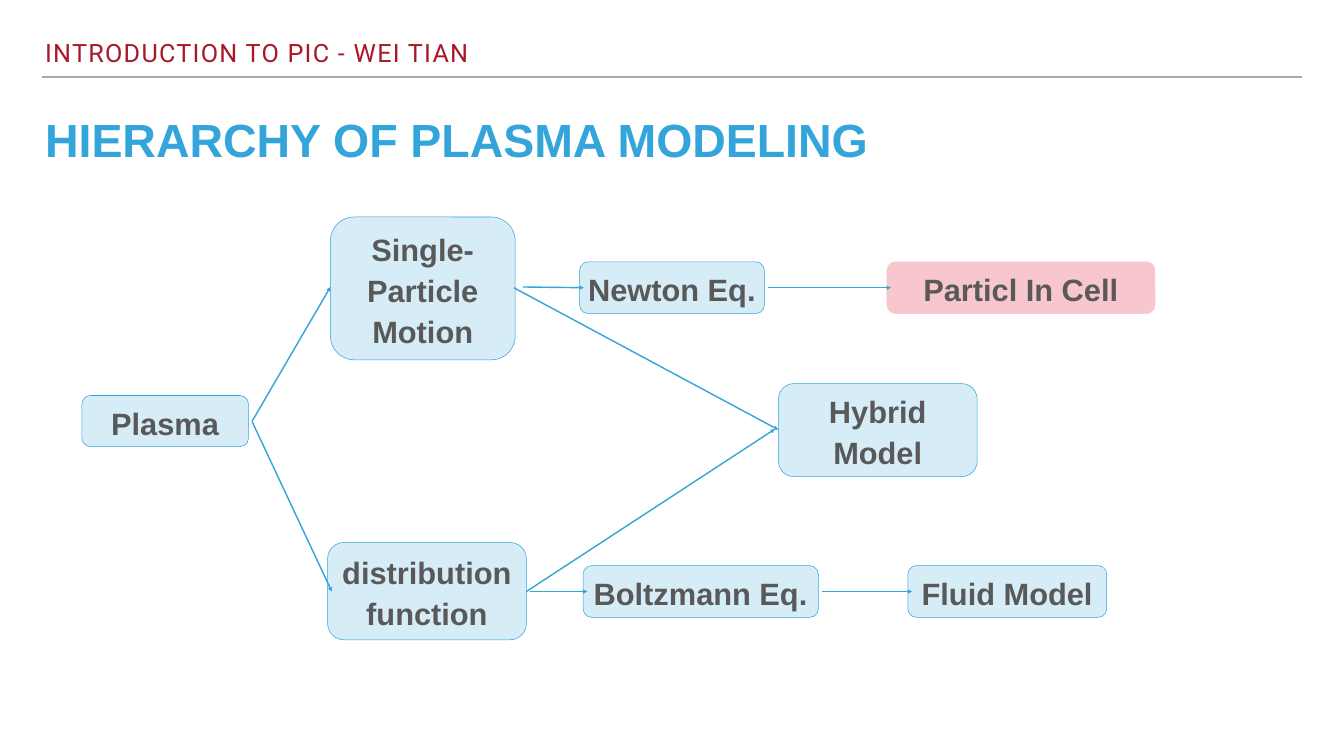
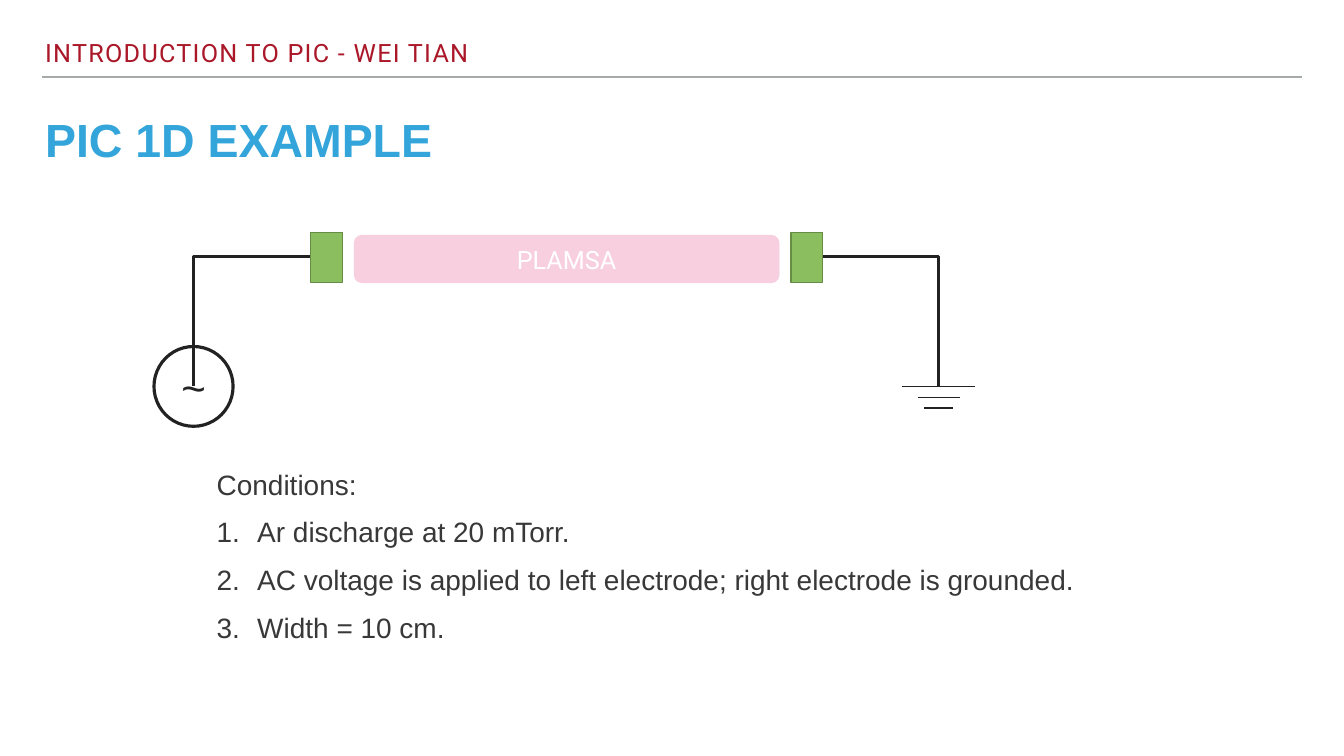
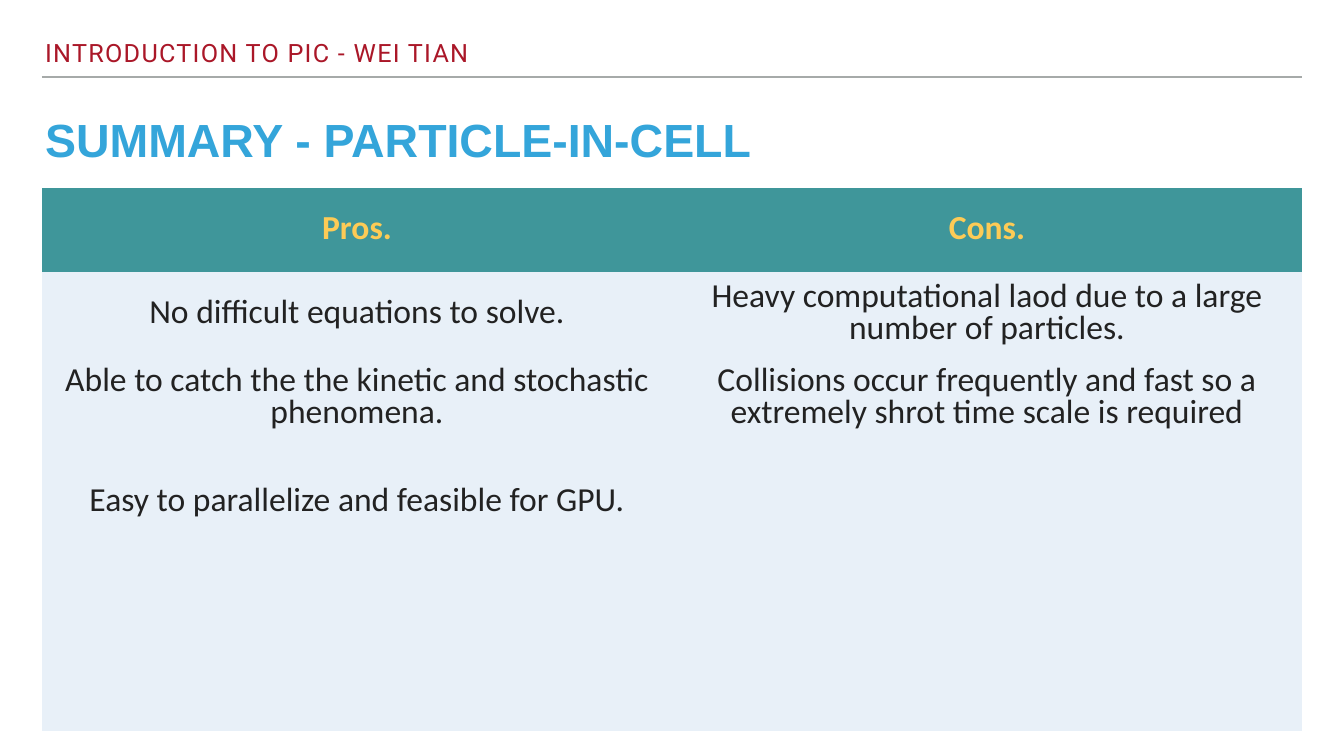
from dataclasses import dataclass

from lxml.etree import SubElement
from pptx import Presentation
from pptx.dml.color import RGBColor
from pptx.enum.shapes import MSO_CONNECTOR as Connector, MSO_SHAPE as Shape
from pptx.enum.text import MSO_ANCHOR as Anchor, MSO_AUTO_SIZE as AutoSize, PP_ALIGN as Align
from pptx.oxml.ns import qn
from pptx.util import Pt


@dataclass(frozen=True)
class Theme:
    blue: str = "34A5DA"
    red: str = "AA1728"
    rule: str = "A6AAA9"
    node_fill: str = "D6EDF8"
    node_line: str = "2FA3D9"
    node_text: str = "595959"
    highlight: str = "F7C7CD"
    ink: str = "222222"
    body: str = "383838"
    electrode: str = "8ABE5E"
    electrode_line: str = "668D46"
    plasma: str = "F7CFDE"
    white: str = "FFFFFF"
    table_head: str = "3F969A"
    table_head_text: str = "FDCB56"
    table_body: str = "E8F0F8"
    font: str = "Arial"
    header_font: str = "Roboto"
    table_font: str = "Calibri"
    header_size: float = 36
    title_size: float = 66.4
    node_size: float = 44
    body_size: float = 40
    symbol_size: float = 60
    table_size: float = 48
    inset: float = 4.5
    left: float = 60
    width: float = 1800


theme = Theme()
NO_GRID_STYLE = "{2D5ABB26-0587-4C30-8999-92F81FD0307C}"


def points(*values):
    return [Pt(value) for value in values]


def color(code):
    return RGBColor.from_string(code)


def write(para, text, size=theme.body_size, font=theme.font, ink=theme.ink, bold=False,
          align=Align.LEFT, spacing=None, before=0, tracking=None):
    span = para.add_run()
    span.text = text
    span.font.name = font
    span.font.size = Pt(size)
    span.font.bold = bold
    span.font.color.rgb = color(ink)
    if tracking:
        span._r.get_or_add_rPr().set("spc", str(round(tracking * 100)))
    para.alignment = align
    para.line_spacing = spacing
    para.space_before = Pt(before)


def prepare_frame(box, anchor=Anchor.TOP):
    frame = box.text_frame
    frame.word_wrap = True
    frame.auto_size = AutoSize.NONE
    frame.vertical_anchor = anchor
    frame.margin_left = frame.margin_right = Pt(theme.inset)
    frame.margin_top = frame.margin_bottom = Pt(theme.inset)
    return frame


def paint(shape, fill, line, width):
    shape.shadow.inherit = False
    if fill:
        shape.fill.solid()
        shape.fill.fore_color.rgb = color(fill)
    else:
        shape.fill.background()
    shape.line.color.rgb = color(line)
    shape.line.width = Pt(width)


def add_box(page, kind, bounds, fill, line, width=2, text=None, **text_format):
    box = page.shapes.add_shape(kind, *points(*bounds))
    paint(box, fill, line, width)
    if text:
        frame = prepare_frame(box, Anchor.MIDDLE)
        write(frame.paragraphs[0], text, align=Align.CENTER, **text_format)
    return box


def add_line(page, start, end, ink=theme.ink, width=2, arrow=False):
    line = page.shapes.add_connector(Connector.STRAIGHT, *points(*start, *end))
    line.line.color.rgb = color(ink)
    line.line.width = Pt(width)
    if arrow:
        SubElement(line.line._get_or_add_ln(), qn("a:tailEnd"), type="triangle")
    SubElement(line._element.spPr, qn("a:effectLst"))


def add_wire(page, start, *corners):
    builder = page.shapes.build_freeform(*points(*start), scale=1.0)
    builder.add_line_segments([points(*corner) for corner in corners], close=False)
    paint(builder.convert_to_shape(), None, theme.ink, 4.5)


def add_page(deck, title):
    page = deck.slides.add_slide(deck.slide_layouts[5])
    add_line(page, (theme.left, 110), (theme.left + theme.width, 110), theme.rule)
    header = page.shapes.add_textbox(*points(theme.left, 57, 1650, 43))
    write(prepare_frame(header, Anchor.BOTTOM).paragraphs[0], "INTRODUCTION TO PIC - WEI TIAN",
          size=theme.header_size, font=theme.header_font, ink=theme.red, spacing=0.8, tracking=1.8)
    box = page.shapes.title
    box.left, box.top, box.width, box.height = points(theme.left, 170, theme.width, 80)
    write(prepare_frame(box).paragraphs[0], title, size=theme.title_size, ink=theme.blue,
          bold=True, spacing=0.8)
    return page


def add_node(page, text, bounds, fill=theme.node_fill, line=theme.node_line):
    add_box(page, Shape.ROUNDED_RECTANGLE, bounds, fill, line, 0.75, text,
            size=theme.node_size, ink=theme.node_text, bold=True, spacing=1.1)


def add_numbered_list(page, bounds, heading, items, indent=58):
    frame = prepare_frame(page.shapes.add_textbox(*points(*bounds)))
    write(frame.paragraphs[0], heading, ink=theme.body)
    for item in items:
        para = frame.add_paragraph()
        write(para, item, ink=theme.body, before=20)
        properties = para._p.get_or_add_pPr()
        properties.set("marL", str(Pt(indent)))
        properties.set("indent", str(-Pt(indent)))
        SubElement(properties, qn("a:buFont"), typeface=theme.font)
        SubElement(properties, qn("a:buAutoNum"), type="arabicPeriod")


def add_text_table(page, top, heights, rows):
    columns = len(rows[0])
    frame = page.shapes.add_table(len(rows), columns,
                                  *points(theme.left, top, theme.width, sum(heights)))
    table = frame.table
    table._tbl.tblPr.find(qn("a:tableStyleId")).text = NO_GRID_STYLE
    table.horz_banding = False
    for column in table.columns:
        column.width = Pt(theme.width / columns)
    for index, (height, texts) in enumerate(zip(heights, rows)):
        head = index == 0
        table.rows[index].height = Pt(height)
        for cell, text in zip(table.rows[index].cells, texts):
            cell.fill.solid()
            cell.fill.fore_color.rgb = color(theme.table_head if head else theme.table_body)
            cell.vertical_anchor = Anchor.MIDDLE
            if text:
                write(cell.text_frame.paragraphs[0], text, size=theme.table_size,
                      font=theme.table_font, bold=head, align=Align.CENTER, spacing=0.8,
                      ink=theme.table_head_text if head else theme.ink)


def build_hierarchy(deck):
    page = add_page(deck, "HIERARCHY OF PLASMA MODELING")
    nodes = {
        "Plasma": (117, 565, 238, 73),
        "Single-Particle Motion": (472, 310, 264, 204),
        "distribution function": (468, 775, 284, 139),
        "Boltzmann Eq.": (833, 808, 336, 74),
        "Fluid Model": (1297, 808, 284, 74),
        "Newton Eq.": (828, 374, 264, 74),
        "Hybrid Model": (1112, 548, 284, 133),
    }
    for text, bounds in nodes.items():
        add_node(page, text, bounds)
    add_node(page, "Particl In Cell", (1267, 374, 383, 74), theme.highlight, theme.highlight)
    plasma_exit = (360, 602)
    arrows = [
        (plasma_exit, (472, 410)),
        (plasma_exit, (474, 845)),
        ((747, 410), (834, 411)),
        ((757, 845), (839, 845)),
        ((1174, 845), (1303, 845)),
        ((1097, 411), (1273, 411)),
        ((734, 411), (1112, 614)),
        ((752, 845), (1107, 613)),
    ]
    for start, end in arrows:
        add_line(page, start, end, theme.blue, arrow=True)


def build_example(deck):
    page = add_page(deck, "PIC 1D EXAMPLE")
    ground = 1341
    add_wire(page, (1174, 367), (ground, 367), (ground, 553))
    for step, half_width in enumerate((52, 30, 21)):
        height = 552 + 15.5 * step
        add_line(page, (ground - half_width, height), (ground + half_width, height))
    add_wire(page, (444, 366), (276, 366), (276, 552))
    add_box(page, Shape.OVAL, (220, 495, 113, 114), None, theme.ink, 4.5, "~",
            size=theme.symbol_size)
    add_box(page, Shape.ROUNDED_RECTANGLE, (506, 336, 607, 68), theme.plasma, theme.plasma, 1,
            "PLAMSA", size=theme.header_size, font=theme.header_font, ink=theme.white)
    for left in (444, 1130):
        add_box(page, Shape.RECTANGLE, (left, 332, 45, 72), theme.electrode, theme.electrode_line)
    add_numbered_list(page, (305, 663, 1271, 331), "Conditions:", [
        "Ar discharge at 20 mTorr.",
        "AC voltage is applied to left electrode; right electrode is grounded.",
        "Width = 10 cm.",
    ])


def build_summary(deck):
    page = add_page(deck, "SUMMARY - PARTICLE-IN-CELL")
    add_text_table(page, 268, (120, 120, 120, 176, 120, 120), [
        ("Pros.", "Cons."),
        ("No difficult equations to solve.",
         "Heavy computational laod due to a large number of particles."),
        ("Able to catch the the kinetic and stochastic phenomena.",
         "Collisions occur frequently and fast so a extremely shrot time scale is required"),
        ("Easy to parallelize and feasible for GPU.", ""),
        ("", ""),
        ("", ""),
    ])


def main():
    deck = Presentation()
    deck.slide_width, deck.slide_height = points(1920, 1080)
    build_hierarchy(deck)
    build_example(deck)
    build_summary(deck)
    deck.save("out.pptx")


if __name__ == "__main__":
    main()
